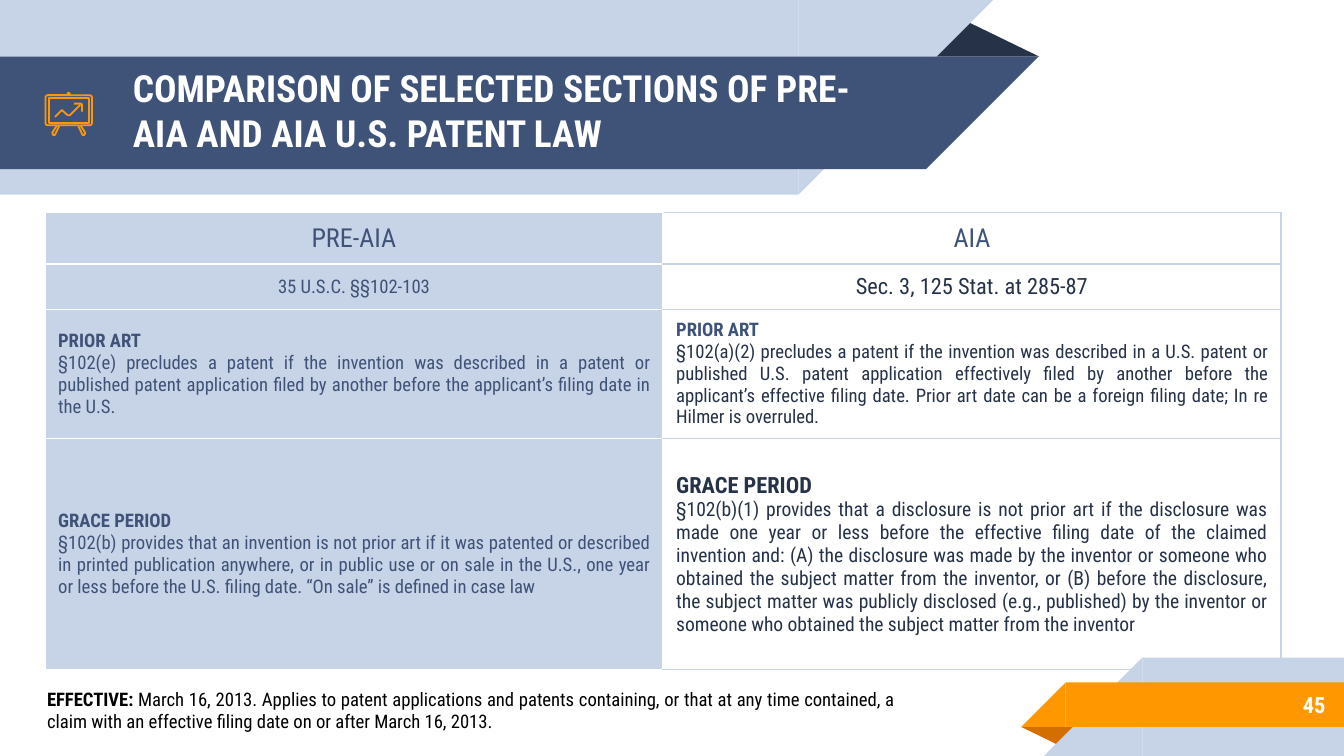
import pptx
import pptx.util
import pptx.dml.color
import pptx.enum.shapes
import pptx.enum.text
import pptx.oxml
import pptx.oxml.ns

Cm, Pt = pptx.util.Cm, pptx.util.Pt
KIND = pptx.enum.shapes.MSO_SHAPE
ALIGN = pptx.enum.text.PP_ALIGN
MIDDLE = pptx.enum.text.MSO_ANCHOR.MIDDLE

FACE = "Roboto Condensed"
PALE, NAVY, DARK = "C7D3E6", "3F5378", "263248"
GOLD, RUST, WHITE, BLACK = "FF9800", "D26F00", "FFFFFF", "000000"

# Each paragraph is an alignment and its runs: text, size, colour, bold.
ROWS = [
    (0.97, [
        [(ALIGN.CENTER, [("PRE-AIA", 14, NAVY, False)])],
        [(ALIGN.CENTER, [("AIA", 14, NAVY, False)])],
    ]),
    (0.86, [
        [(ALIGN.CENTER, [("35 U.S.C. §§102-103", 10, NAVY, False)])],
        [(ALIGN.CENTER, [("Sec. 3, 125 Stat. at 285-87", 12, DARK, False)])],
    ]),
    (2.44, [
        [(ALIGN.JUSTIFY, [("PRIOR ART", 10, NAVY, True)]),
         (ALIGN.JUSTIFY, [(
             "§102(e) precludes a patent if the invention was described in a "
             "patent or published patent application filed by another before "
             "the applicant’s filing date in the U.S.", 10, NAVY, False)])],
        [(ALIGN.JUSTIFY, [("PRIOR ART", 10, NAVY, True)]),
         (ALIGN.JUSTIFY, [(
             "§102(a)(2) precludes a patent if the invention was described in "
             "a U.S. patent or published U.S. patent application effectively "
             "filed by another before the applicant’s effective filing date. "
             "Prior art date can be a foreign filing date; In re Hilmer is "
             "overruled.", 10, DARK, False)])],
    ]),
    (4.37, [
        [(ALIGN.JUSTIFY, [("GRACE PERIOD", 10, NAVY, True)]),
         (ALIGN.JUSTIFY, [(
             "§102(b) provides that an invention is not prior art if it was "
             "patented or described in printed publication anywhere, or in "
             "public use or on sale in the U.S., one year or less before the "
             "U.S. filing date. “On sale” is defined in case law",
             10, NAVY, False)])],
        [(ALIGN.JUSTIFY, [("GRACE PERIOD", 12, DARK, True)]),
         (ALIGN.JUSTIFY, [(
             "§102(b)(1) provides that a disclosure is not prior art if the "
             "disclosure was made one year or less before the effective "
             "filing date of the claimed invention and: (A) the disclosure "
             "was made by the inventor or someone who obtained the subject "
             "matter from the inventor, or (B) before the disclosure, the "
             "subject matter was publicly disclosed (e.g., published) by the "
             "inventor or someone who obtained the subject matter from the "
             "inventor", 10.5, DARK, False)])],
    ]),
]
TITLE = [(ALIGN.LEFT, [(
    "COMPARISON OF SELECTED SECTIONS OF PRE-AIA AND AIA U.S. PATENT LAW",
    20, WHITE, True)])]
NOTE = [(ALIGN.JUSTIFY, [
    ("EFFECTIVE:", 10, BLACK, True),
    (" March 16, 2013. Applies to patent applications and patents containing, "
     "or that at any time contained, a claim with an effective filing date on "
     "or after March 16, 2013.", 10, BLACK, False)])]
PAGE = [(ALIGN.RIGHT, [("45", 12, WHITE, True)])]

LEG = [(1.07, 2.38), (0.99, 2.51), (1, 2.55), (1.04, 2.55), (1.12, 2.38)]
STROKES = [
    [(1.27, 1.8), (1.28, 1.77), (1.3, 1.75), (1.32, 1.77), (1.32, 1.8)],
    LEG,
    [(2.6 - x, y) for x, y in LEG],
    [(1.52, 1.98), (1.32, 2.18), (1.28, 2.18), (1.17, 2.08), (1.04, 2.21)],
    [(1.4, 1.96), (1.54, 1.96), (1.55, 1.98), (1.55, 2.11)],
]


def tint(code):
    return pptx.dml.color.RGBColor.from_string(code)


def apply(item, values):
    for name, value in values.items():
        setattr(item, name, value)


def write(frame, paras):
    for i, (align, runs) in enumerate(paras):
        para = frame.add_paragraph() if i else frame.paragraphs[0]
        para.alignment = align
        for text, size, color, bold in runs:
            run = para.add_run()
            run.text = text
            apply(run.font, {"name": FACE, "size": Pt(size), "bold": bold})
            run.font.color.rgb = tint(color)


def fit(frame, paras):
    """Set up the frame of a box or title, then fill in its text."""
    pad = Cm(0.25)
    apply(frame, {"word_wrap": True, "vertical_anchor": MIDDLE,
                  "auto_size": pptx.enum.text.MSO_AUTO_SIZE.NONE,
                  "margin_left": pad, "margin_right": pad,
                  "margin_top": pad, "margin_bottom": pad})
    write(frame, paras)


def add_box(slide, spot, paras):
    fit(slide.shapes.add_textbox(*map(Cm, spot)).text_frame, paras)


def add_solid(slide, kind, spot, color, turn=0):
    shape = slide.shapes.add_shape(kind, *map(Cm, spot))
    shape.shadow.inherit = False
    shape.fill.solid()
    shape.fill.fore_color.rgb = tint(color)
    shape.line.fill.background()
    shape.rotation = turn
    return shape


def add_fold(slide, spot, color, turn=0):
    add_solid(slide, KIND.ISOSCELES_TRIANGLE, spot, color, turn).adjustments[0] = 0.324


def add_band(slide, spot, color, right):
    """Draw a bar with a slanted end on its right or left."""
    x, y, wide, high = spot
    add_solid(slide, KIND.RECTANGLE, spot, color)
    start, turn = (x + wide, 90) if right else (x - high, 270)
    add_solid(slide, KIND.RIGHT_TRIANGLE, (start, y, high, high), color, turn)


def trace(shape):
    shape.shadow.inherit = False
    shape.fill.background()
    shape.line.color.rgb = tint(GOLD)
    shape.line.width = Pt(0.96)


def add_icon(slide):
    board = slide.shapes.add_shape(
        KIND.ROUNDED_RECTANGLE, Cm(0.86), Cm(1.8), Cm(0.88), Cm(0.57))
    board.adjustments[0] = 0.08
    trace(board)
    trace(slide.shapes.add_shape(
        KIND.RECTANGLE, Cm(0.92), Cm(1.86), Cm(0.77), Cm(0.46)))
    for stroke in STROKES:
        first, *rest = [(Cm(x), Cm(y)) for x, y in stroke]
        pen = slide.shapes.build_freeform(*first)
        pen.add_line_segments(rest, close=False)
        trace(pen.convert_to_shape())


def edge(cell, colors):
    """Draw the left, right, top and bottom borders of a cell."""
    for side, color in zip("LRTB", colors):
        cell._tc.get_or_add_tcPr().append(pptx.oxml.parse_xml(
            f'<a:ln{side} {pptx.oxml.ns.nsdecls("a")} w="{Pt(0.75)}">'
            f'<a:solidFill><a:srgbClr val="{color}"/></a:solidFill></a:ln{side}>'))


def add_grid(slide):
    high = sum(row[0] for row in ROWS)
    grid = slide.shapes.add_table(
        len(ROWS), 2, Cm(0.85), Cm(4.02), Cm(23.36), Cm(high)).table
    apply(grid, {"first_row": False, "horz_banding": False})
    for r, (tall, texts) in enumerate(ROWS):
        grid.rows[r].height = Cm(tall)
        for c, paras in enumerate(texts):
            cell = grid.cell(r, c)
            apply(cell, {"vertical_anchor": MIDDLE,
                         "margin_left": Cm(0.25), "margin_right": Cm(0.25),
                         "margin_top": Cm(0.18), "margin_bottom": Cm(0.18)})
            edge(cell, [WHITE] + [PALE if c else WHITE] * 3)
            if c:
                cell.fill.background()
            else:
                cell.fill.solid()
                cell.fill.fore_color.rgb = tint(PALE)
            write(cell.text_frame, paras)


def add_title(slide):
    title = slide.shapes.title
    apply(title, {"left": Cm(2.26), "top": Cm(1.02),
                  "width": Cm(14.88), "height": Cm(2.13)})
    fit(title.text_frame, TITLE)
    # Bring the title in front of the bands.
    slide.shapes._spTree.append(title._element)


def main():
    deck = pptx.Presentation()
    apply(deck, {"slide_width": Cm(25.4), "slide_height": Cm(14.29)})
    slide = deck.slides.add_slide(deck.slide_layouts[5])
    add_fold(slide, (17.48, 0.36, 2.16, 0.71), DARK)
    add_band(slide, (0, 0, 15.09, 3.68), PALE, True)
    add_band(slide, (0, 1.07, 17.5, 2.13), NAVY, True)
    add_fold(slide, (19.3, 13.74, 1.09, 0.36), RUST, 180)
    add_band(slide, (21.59, 12.43, 3.81, 1.86), PALE, False)
    add_band(slide, (20.14, 12.9, 5.26, 0.84), GOLD, False)
    add_title(slide)
    add_grid(slide)
    add_box(slide, (21.16, 12.88, 4.14, 0.89), PAGE)
    add_icon(slide)
    add_box(slide, (0.64, 12.75, 16.51, 1.35), NOTE)
    deck.save("out.pptx")


if __name__ == "__main__":
    main()
